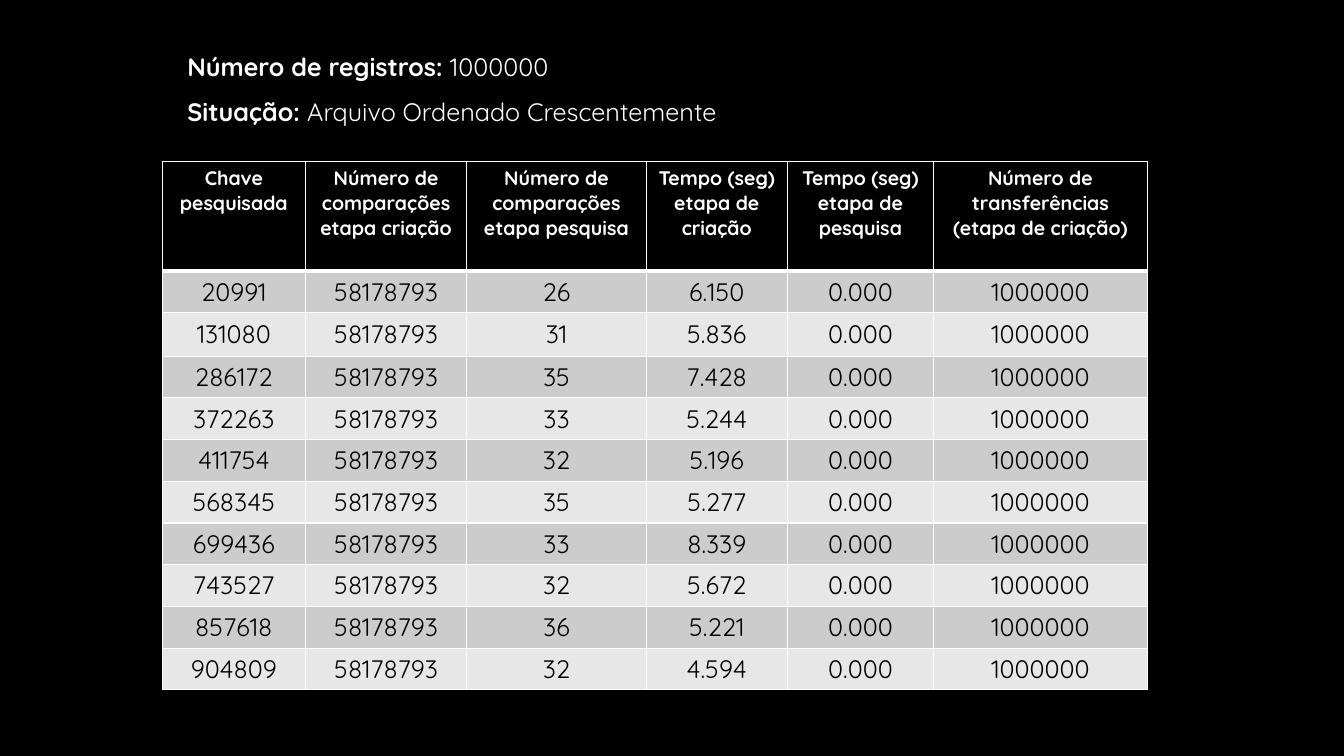
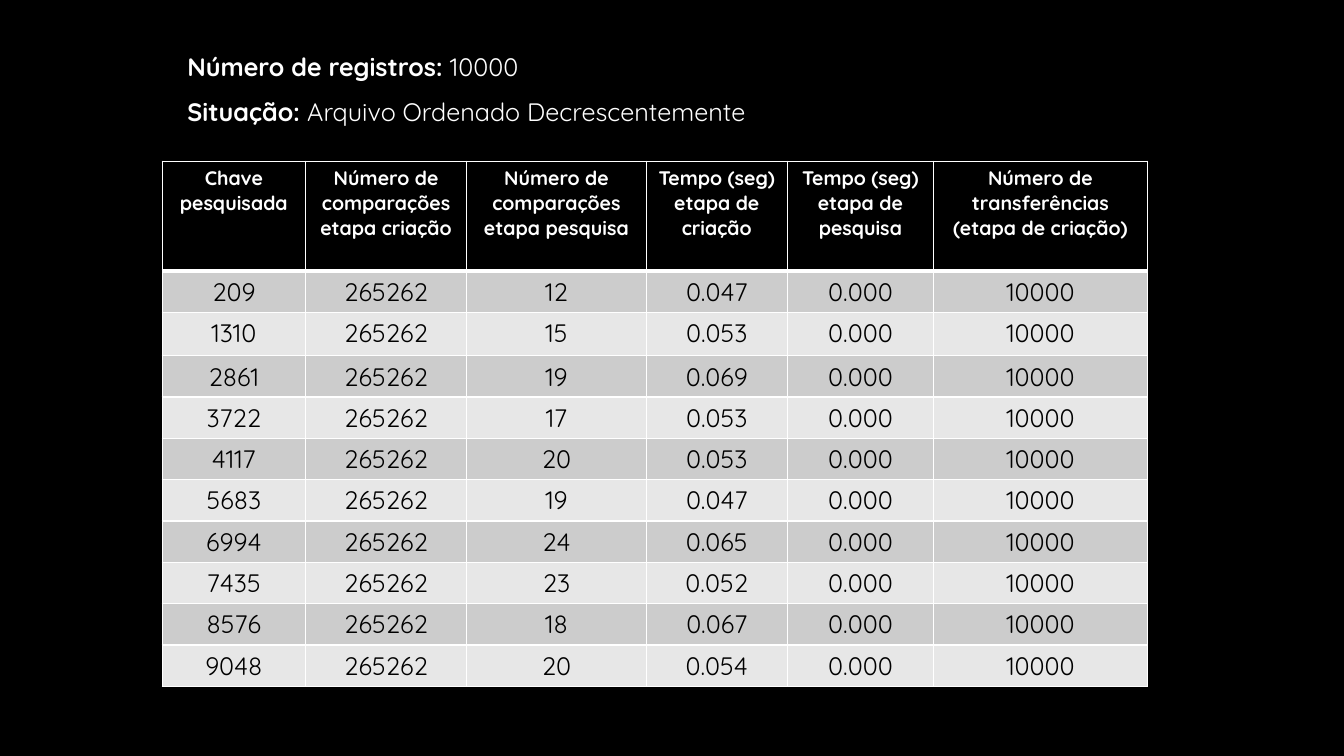
from typing import NamedTuple

from lxml.etree import SubElement
from pptx import Presentation
from pptx.dml.color import RGBColor
from pptx.enum.text import MSO_AUTO_SIZE as AutoSize, PP_ALIGN as Align
from pptx.oxml.ns import qn
from pptx.slide import Slide
from pptx.table import _Cell as Cell
from pptx.text.text import Font
from pptx.util import Inches, Pt

SLIDE_WIDTH, SLIDE_HEIGHT = 13.33, 7.5
FONT = "Quicksand"
BLACK, WHITE = "000000", "FFFFFF"
BANDS = ("CCCCCC", "E7E7E7")
HEADING_SIZE, BODY_SIZE = 14, 18
THIN, THICK = 1, 3

TABLE_LEFT, TABLE_TOP = 1.61, 1.6
COLUMN_WIDTHS = (1.42, 1.6, 1.78, 1.4, 1.45, 2.12)
ROW_HEIGHTS = (1.09, 0.41, 0.43) + (0.41,) * 8
CAPTION_LEFT, CAPTION_TOP, CAPTION_HEIGHT = 1.76, 0.31, 1.01

HEADINGS = (
    "Chave pesquisada",
    "Número de comparações etapa criação",
    "Número de comparações etapa pesquisa",
    "Tempo (seg) etapa de criação",
    "Tempo (seg) etapa de pesquisa",
    "Número de transferências (etapa de criação)",
)


class Search(NamedTuple):
    key: str
    comparisons: str
    creation_time: str


class Experiment(NamedTuple):
    records: str
    situation: str
    caption_width: float
    creation_comparisons: str
    search_time: str
    searches: tuple[Search, ...]

    def rows(self) -> list[tuple[str, ...]]:
        return [
            (search.key, self.creation_comparisons, search.comparisons,
             search.creation_time, self.search_time, self.records)
            for search in self.searches
        ]


EXPERIMENTS = (
    Experiment("1000000", "Arquivo Ordenado Crescentemente", 5.86, "58178793", "0.000", (
        Search("20991", "26", "6.150"),
        Search("131080", "31", "5.836"),
        Search("286172", "35", "7.428"),
        Search("372263", "33", "5.244"),
        Search("411754", "32", "5.196"),
        Search("568345", "35", "5.277"),
        Search("699436", "33", "8.339"),
        Search("743527", "32", "5.672"),
        Search("857618", "36", "5.221"),
        Search("904809", "32", "4.594"),
    )),
    Experiment("10000", "Arquivo Ordenado Decrescentemente", 6.23, "265262", "0.000", (
        Search("209", "12", "0.047"),
        Search("1310", "15", "0.053"),
        Search("2861", "19", "0.069"),
        Search("3722", "17", "0.053"),
        Search("4117", "20", "0.053"),
        Search("5683", "19", "0.047"),
        Search("6994", "24", "0.065"),
        Search("7435", "23", "0.052"),
        Search("8576", "18", "0.067"),
        Search("9048", "20", "0.054"),
    )),
)


def color(value: str) -> RGBColor:
    return RGBColor.from_string(value)


def style_font(font: Font, size: float, ink: str, bold: bool) -> None:
    font.name = FONT
    font.size = Pt(size)
    font.bold = bold
    font.color.rgb = color(ink)


def add_borders(cell: Cell, top: float, bottom: float) -> None:
    """Draw the four white borders; call before filling, as the schema puts lines first."""
    properties = cell._tc.get_or_add_tcPr()
    for side, width in (("L", THIN), ("R", THIN), ("T", top), ("B", bottom)):
        line = SubElement(properties, qn(f"a:ln{side}"), w=str(Pt(width)))
        fill = SubElement(line, qn("a:solidFill"))
        SubElement(fill, qn("a:srgbClr"), val=WHITE)


def fill_cell(cell: Cell, text: str, row: int) -> None:
    is_heading = row == 0
    add_borders(cell, THICK if row == 1 else THIN, THICK if is_heading else THIN)
    cell.fill.solid()
    cell.fill.fore_color.rgb = color(BLACK if is_heading else BANDS[(row - 1) % 2])
    cell.text_frame.text = text
    para = cell.text_frame.paragraphs[0]
    para.alignment = Align.CENTER
    size, ink = (HEADING_SIZE, WHITE) if is_heading else (BODY_SIZE, BLACK)
    style_font(para.runs[0].font, size, ink, is_heading)


def add_results(page: Slide, experiment: Experiment) -> None:
    rows = [HEADINGS, *experiment.rows()]
    table = page.shapes.add_table(
        len(rows), len(HEADINGS), Inches(TABLE_LEFT), Inches(TABLE_TOP),
        Inches(sum(COLUMN_WIDTHS)), Inches(sum(ROW_HEIGHTS)),
    ).table
    table.horz_banding = False
    for column, width in zip(table.columns, COLUMN_WIDTHS):
        column.width = Inches(width)
    for row, height in zip(table.rows, ROW_HEIGHTS):
        row.height = Inches(height)
    for row_index, texts in enumerate(rows):
        for column_index, text in enumerate(texts):
            fill_cell(table.cell(row_index, column_index), text, row_index)


def add_caption(page: Slide, experiment: Experiment) -> None:
    box = page.shapes.add_textbox(
        Inches(CAPTION_LEFT), Inches(CAPTION_TOP),
        Inches(experiment.caption_width), Inches(CAPTION_HEIGHT),
    )
    frame = box.text_frame
    frame.word_wrap = False
    frame.auto_size = AutoSize.SHAPE_TO_FIT_TEXT
    entries = (
        ("Número de registros: ", experiment.records),
        ("Situação: ", experiment.situation),
    )
    for index, entry in enumerate(entries):
        para = frame.add_paragraph() if index else frame.paragraphs[0]
        para.line_spacing = 1.5
        for text, bold in zip(entry, (True, False)):
            span = para.add_run()
            span.text = text
            style_font(span.font, BODY_SIZE, WHITE, bold)


def main() -> None:
    deck = Presentation()
    deck.slide_width, deck.slide_height = Inches(SLIDE_WIDTH), Inches(SLIDE_HEIGHT)
    backdrop = deck.slide_master.background.fill
    backdrop.solid()
    backdrop.fore_color.rgb = color(BLACK)
    blank = deck.slide_layouts[6]
    for experiment in EXPERIMENTS:
        page = deck.slides.add_slide(blank)
        add_results(page, experiment)
        add_caption(page, experiment)
    deck.save("out.pptx")


if __name__ == "__main__":
    main()
